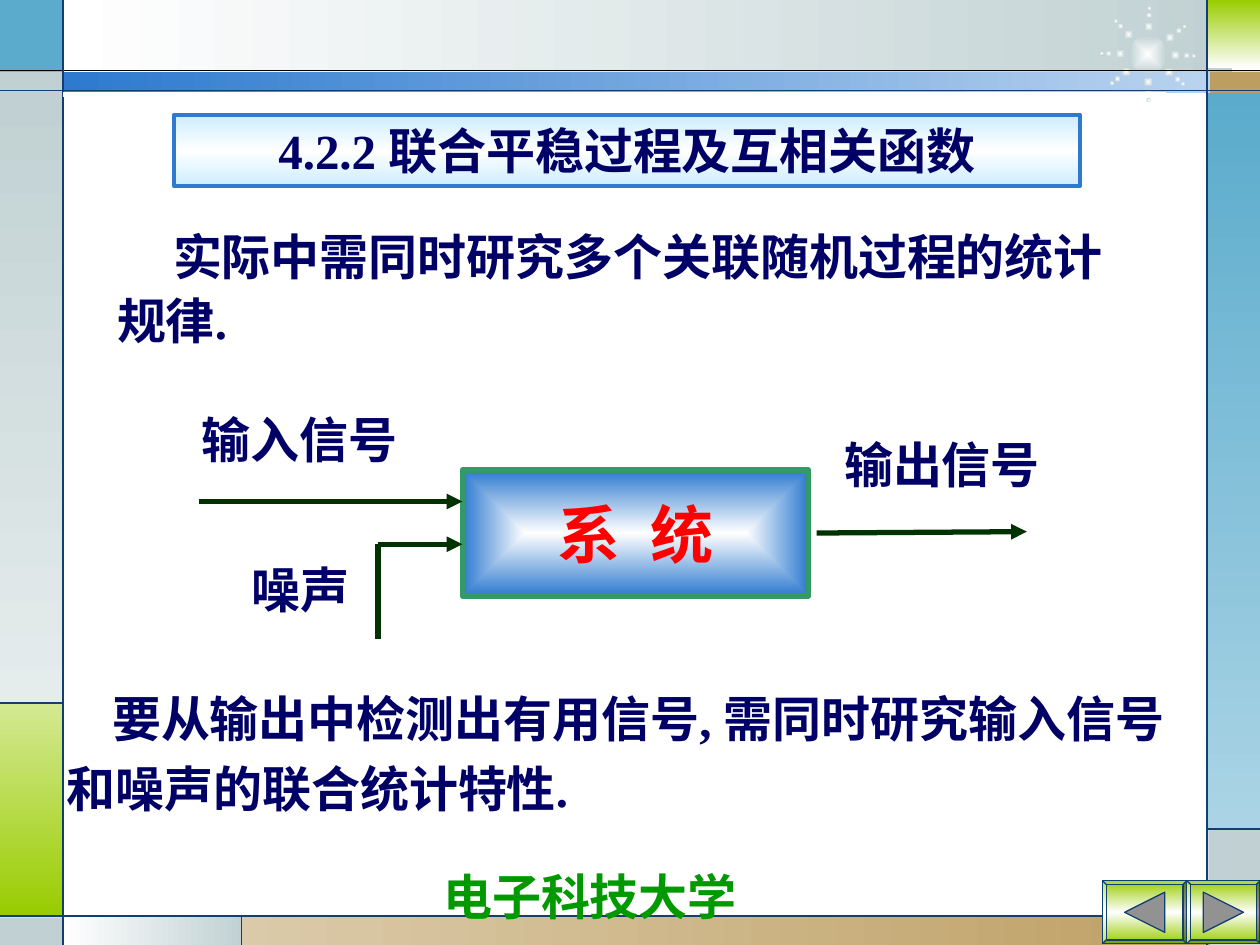
from dataclasses import dataclass
from math import cos, radians, sin
from typing import Optional

from lxml import etree
from pptx import Presentation
from pptx import util as u
from pptx.dml.color import RGBColor
from pptx.enum import shapes, text
from pptx.oxml import ns

Pt = u.Pt
Kind = shapes.MSO_SHAPE
Align = text.PP_ALIGN

WHITE = RGBColor(0xFF, 0xFF, 0xFF)
BLACK = RGBColor(0x00, 0x00, 0x00)
NAVY = RGBColor(0x00, 0x00, 0x66)
RED = RGBColor(0xFF, 0x00, 0x00)
GREEN = RGBColor(0x00, 0x99, 0x00)
DARK_GREEN = RGBColor(0x00, 0x33, 0x00)
SEA_GREEN = RGBColor(0x33, 0x99, 0x66)
LIME = RGBColor(0x99, 0xCC, 0x00)
PALE_LIME = RGBColor(0xD4, 0xE9, 0x93)
BLUE = RGBColor(0x2D, 0x7A, 0xCF)
PALE_BLUE = RGBColor(0xB9, 0xD3, 0xEF)
ICE = RGBColor(0xCC, 0xEC, 0xFF)
SKY = RGBColor(0x5A, 0xAB, 0xCC)
PALE_SKY = RGBColor(0xAA, 0xD4, 0xE5)
DEEP_BLUE = RGBColor(0x11, 0x3F, 0x71)
MIST = RGBColor(0xC1, 0xD1, 0xD3)
PALE_MIST = RGBColor(0xE5, 0xEC, 0xEC)
SAND = RGBColor(0xBD, 0x9E, 0x61)
PALE_SAND = RGBColor(0xDB, 0xCA, 0xA9)
SILVER = RGBColor(0xD8, 0xD8, 0xD8)
GREY = RGBColor(0x92, 0x92, 0x92)


@dataclass
class Panel:
    left: float
    top: float
    width: float
    height: float
    colours: tuple
    angle: Optional[int] = 0  # None shades from the centre outwards
    kind: Kind = Kind.RECTANGLE
    line: Optional[RGBColor] = None
    line_width: float = 0.75
    rotation: float = 0


@dataclass
class Line:
    x1: float
    y1: float
    x2: float
    y2: float
    colour: RGBColor = DEEP_BLUE
    width: float = 0.75
    arrow: bool = False


@dataclass
class Label:
    left: float
    top: float
    width: float
    height: float
    words: str
    colour: RGBColor = NAVY
    align: Align = Align.LEFT
    indent: float = 0
    spacing: float = 1


def paint(shape, colours: tuple, angle: Optional[int]) -> None:
    """Fill with one colour, or with evenly spaced gradient stops."""
    if len(colours) == 1:
        shape.fill.solid()
        shape.fill.fore_color.rgb = colours[0]
        return
    shape.fill.gradient()
    grad = shape._element.spPr.find(ns.qn("a:gradFill"))
    for child in list(grad):
        grad.remove(child)
    stops = etree.SubElement(grad, ns.qn("a:gsLst"))
    for i, colour in enumerate(colours):
        position = str(100000 * i // (len(colours) - 1))
        stop = etree.SubElement(stops, ns.qn("a:gs"), pos=position)
        etree.SubElement(stop, ns.qn("a:srgbClr"), val=str(colour))
    if angle is None:
        way = etree.SubElement(grad, ns.qn("a:path"), {"path": "rect"})
        etree.SubElement(way, ns.qn("a:fillToRect"), dict.fromkeys("ltrb", "50000"))
    else:
        etree.SubElement(grad, ns.qn("a:lin"), ang=str(angle * 60000), scaled="1")


def add_panel(page, panel: Panel):
    shape = page.shapes.add_shape(panel.kind, Pt(panel.left), Pt(panel.top),
                                  Pt(panel.width), Pt(panel.height))
    shape.shadow.inherit = False
    shape.rotation = panel.rotation
    paint(shape, panel.colours, panel.angle)
    if panel.line is None:
        shape.line.fill.background()
    else:
        shape.line.color.rgb = panel.line
        shape.line.width = Pt(panel.line_width)
    return shape


def add_line(page, line: Line) -> None:
    connector = page.shapes.add_connector(
        shapes.MSO_CONNECTOR.STRAIGHT, Pt(line.x1), Pt(line.y1), Pt(line.x2), Pt(line.y2))
    connector.line.color.rgb = line.colour
    connector.line.width = Pt(line.width)
    if line.arrow:
        etree.SubElement(connector.line._get_or_add_ln(), ns.qn("a:tailEnd"), type="triangle")
    etree.SubElement(connector._element.spPr, ns.qn("a:effectLst"))


def add_span(para, words: str, size: float, colour: RGBColor):
    span = para.add_run()
    span.text = words
    span.font.name = "Times New Roman"
    span.font.size = Pt(size)
    span.font.bold = True
    span.font.color.rgb = colour
    return span


def add_label(page, label: Label) -> None:
    box = page.shapes.add_textbox(Pt(label.left), Pt(label.top),
                                  Pt(label.width), Pt(label.height))
    box.text_frame.word_wrap = True
    para = box.text_frame.paragraphs[0]
    para.alignment = label.align
    para.line_spacing = label.spacing
    if label.indent:
        para._p.get_or_add_pPr().set("indent", str(Pt(label.indent)))
    add_span(para, label.words, 28, label.colour)


FRAME = [
    Panel(36.7, 0, 667.4, 53.3, (WHITE, MIST)),
    Panel(0, 0, 36, 42.5, (SKY,)),
    Panel(0, 41, 36, 12.2, (MIST,)),
    Panel(0, 52.6, 36, 349.2, (MIST, PALE_MIST), 90),
    Panel(0, 401.8, 36, 121.7, (PALE_LIME, LIME), 90),
    Panel(0, 524.2, 36, 15.8, (MIST,)),
    Panel(36, 523.4, 103, 16.6, (WHITE, MIST)),
    Panel(138.2, 523.4, 581.8, 16.6, (PALE_SAND, SAND)),
    Panel(691.2, 524.2, 28.8, 15.8, (WHITE, SILVER), 90),
    Panel(690.5, 473.8, 29.5, 50.4, (MIST,)),
    Panel(689.8, 51.8, 30.2, 421.2, (SKY, PALE_SKY), 90),
    Panel(691.2, 41, 28.8, 12.2, (SAND,)),
    Panel(690.5, 0, 29.5, 38.9, (LIME, WHITE), 90),
    Panel(36.7, 41, 654.5, 12.2, (BLUE, PALE_BLUE)),
]
RULES = [
    Line(0, 40.3, 720, 40.3, BLACK),
    Line(0, 51.8, 720, 51.8),
    Line(0, 523.4, 720, 523.4),
    Line(36, 0, 36, 540),
    Line(689.8, 0, 689.8, 540),
    Line(36, 401.8, 0, 401.8),
    Line(138.2, 523.4, 138.2, 540),
    Line(689.8, 473.8, 720, 473.8),
]
BURST_X, BURST_Y = 655.9, 31
RAY_ANGLES = (40, 2, -37, 89, -88, 226, 181, 141)
RAY_DOTS = ((22.3, 3.5), (26.3, 2.5), (15.8, 5.2))  # distance, size
ARROWS = [
    Line(113.8, 286.6, 264.2, 286.6, DARK_GREEN, 3, True),
    Line(466.6, 304.6, 586.8, 303.8, DARK_GREEN, 3, True),
    Line(216, 311, 264.2, 311, DARK_GREEN, 3, True),
    Line(216, 311, 216, 365, DARK_GREEN, 3),
]
LABELS = [
    Label(246.2, 491.8, 228.2, 36, "电子科技大学", GREEN),
    Label(59.8, 122.4, 601.2, 81.4, "实际中需同时研究多个关联随机过程的统计规律.",
          indent=32, spacing=1.1),
    Label(108, 230.4, 167, 41, "输入信号"),
    Label(136.8, 316.1, 87.1, 41, "噪声"),
    Label(455.8, 244.8, 164.9, 41, "输出信号", align=Align.CENTER),
    Label(31, 383, 665.3, 87.8, "要从输出中检测出有用信号, 需同时研究输入信号和噪声的联合统计特性.",
          indent=26, spacing=1.2),
]


def add_dot(page, x: float, y: float, size: float) -> None:
    add_panel(page, Panel(x - size / 2, y - size / 2, size, size,
                          (WHITE, MIST), None, Kind.OVAL))


def add_button(page, left: float, width: float, rotation: float) -> None:
    top, height, side = 503.3, 36, 23
    button = add_panel(page, Panel(left, top, width, height, (LIME, WHITE, LIME), 90,
                                   Kind.BEVEL, DEEP_BLUE))
    button.adjustments[0] = 0.06
    add_panel(page, Panel(left + (width - side) / 2, top + (height - side) / 2, side, side,
                          (GREY,), 0, Kind.ISOSCELES_TRIANGLE, DEEP_BLUE,
                          rotation=rotation))


def main() -> None:
    deck = Presentation()
    deck.slide_width, deck.slide_height = Pt(720), Pt(540)
    page = deck.slides.add_slide(deck.slide_layouts[6])

    # Background frame
    for panel in FRAME:
        add_panel(page, panel)

    # Starburst
    add_dot(page, BURST_X, BURST_Y, 21.6)
    for angle in RAY_ANGLES:
        for distance, size in RAY_DOTS:
            add_dot(page, BURST_X + distance * cos(radians(angle)),
                    BURST_Y + distance * sin(radians(angle)), size)

    # Frame lines and navigation buttons
    for rule in RULES:
        add_line(page, rule)
    add_button(page, 678.2, 41.8, 90)
    add_button(page, 630, 48.2, 270)
    add_line(page, Line(36, 54, 666, 54, WHITE, 3))

    # Heading
    heading = add_panel(page, Panel(99.4, 65.5, 517.7, 41, (ICE, WHITE, ICE), 90,
                                    line=BLUE, line_width=2.25))
    heading.text_frame.vertical_anchor = text.MSO_ANCHOR.TOP
    para = heading.text_frame.paragraphs[0]
    para.alignment = Align.CENTER
    add_span(para, "4.2.2 联合平稳过程及互相关函数", 28, NAVY)

    # System diagram
    system = add_panel(page, Panel(264.2, 268.6, 198, 72, (WHITE, BLUE), None,
                                   line=SEA_GREEN, line_width=3))
    system.text_frame.word_wrap = False
    para = system.text_frame.paragraphs[0]
    para.alignment = Align.CENTER
    add_span(para, "系", 36, RED)
    gap = add_span(para, " ", 36, RED)
    gap._r.get_or_add_rPr().set("spc", "900")
    add_span(para, "统", 36, RED)
    for arrow in ARROWS:
        add_line(page, arrow)

    # Body text and labels
    for label in LABELS:
        add_label(page, label)

    deck.save("out.pptx")


if __name__ == "__main__":
    main()
